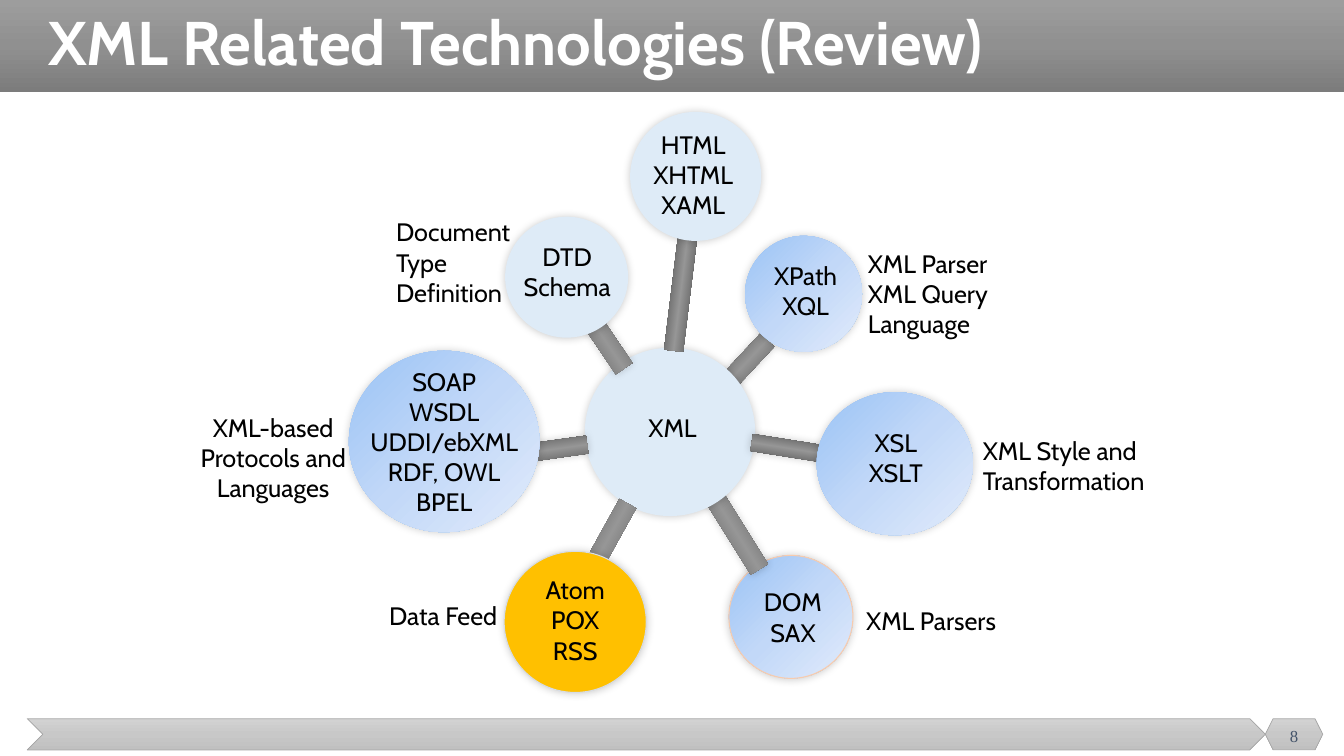
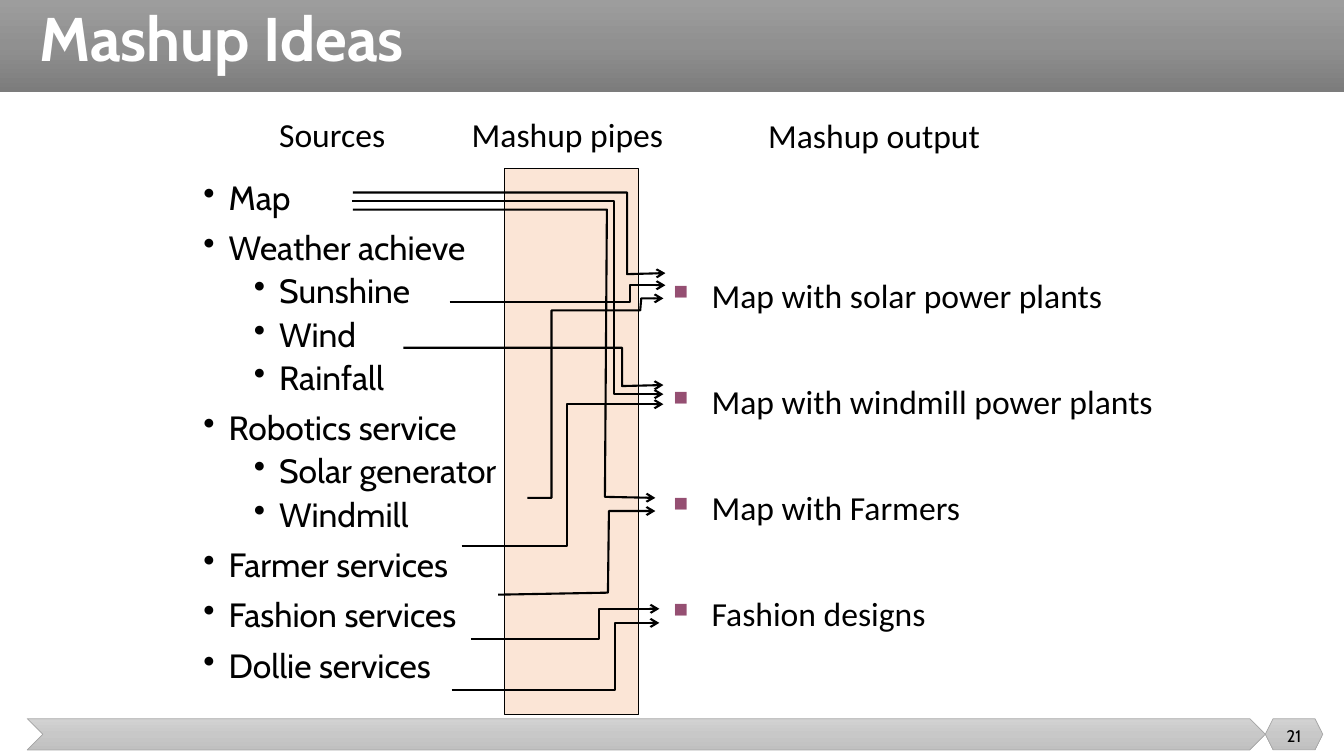
from dataclasses import dataclass
from lxml import etree
from pptx import Presentation
from pptx import util as u
from pptx.dml.color import RGBColor
from pptx.enum import shapes, text
from pptx.oxml.ns import qn

SCALE = 9144
HUES = {
    "black": "000000", "white": "FFFFFF", "slate": "44546A",
    "band1": "9D9D9D", "band2": "909090", "band3": "7C7C7C",
    "foot1": "D2D2D2", "foot2": "C8C8C8", "foot3": "C0C0C0", "edge": "A5A5A5",
    "sky1": "9AC3F5", "sky2": "C2D8F8", "sky3": "E1EBFB",
    "rod1": "454545", "rod2": "969696",
    "pale": "DEEBF7", "gold": "FFC000", "mist": "D6DCE5",
    "rose": "F8CBAD", "peach": "FBE5D6", "plum": "954F72",
}
BLENDS = {
    "band": (90, ("band1", "band2", "band3")),
    "foot": (90, ("foot1", "foot2", "foot3")),
    "sky": (45, ("sky1", "sky2", "sky3")),
    "rod": (90, ("rod1", "rod2", "rod1")),
}
KIND = shapes.MSO_SHAPE
LEFT, MID = text.PP_ALIGN.LEFT, text.PP_ALIGN.CENTER
Box = tuple[int, int, int, int]


def px(n: int) -> u.Emu:
    return u.Emu(n * SCALE)


def rgb(hue: str) -> RGBColor:
    return RGBColor.from_string(HUES[hue])


def sub(node, tag: str, **attrs):
    return etree.SubElement(node, qn("a:" + tag), attrs)


def paint(shape, hue: str) -> None:
    if hue not in BLENDS:
        shape.fill.solid()
        shape.fill.fore_color.rgb = rgb(hue)
        return
    angle, stops = BLENDS[hue]
    shape.fill.gradient()
    grad = shape._element.spPr.find(qn("a:gradFill"))
    grad.clear()
    grad.set("rotWithShape", "1")
    row = sub(grad, "gsLst")
    for i, stop in enumerate(stops):
        mark = sub(row, "gs", pos=str(i * 50000))
        sub(mark, "srgbClr", val=HUES[stop])
    sub(grad, "lin", ang=str(angle * 60000), scaled="0")


def outline(shape, hue: str, width: float) -> None:
    if hue:
        shape.line.color.rgb = rgb(hue)
        shape.line.width = u.Pt(width)
    else:
        shape.line.fill.background()


def glow(shape) -> None:
    effects = shape._element.spPr.find(qn("a:effectLst"))
    halo = sub(effects, "outerShdw", blurRad="76200", dist="0",
               dir="18900000", algn="ctr", rotWithShape="0")
    tint = sub(halo, "srgbClr", val=HUES["black"])
    sub(tint, "alpha", val="20000")


def block(slide, kind, box: Box, hue: str, edge: str = "", width: float = 0.75):
    shape = slide.shapes.add_shape(kind, *map(px, box))
    shape.shadow.inherit = False
    paint(shape, hue)
    outline(shape, edge, width)
    return shape


def frame(slide, box: Box, wrap: bool = True, middle: bool = False):
    body = slide.shapes.add_textbox(*map(px, box)).text_frame
    body.word_wrap = wrap
    if middle:
        body.vertical_anchor = text.MSO_ANCHOR.MIDDLE
    return body


def para(body, first: bool):
    return body.paragraphs[0] if first else body.add_paragraph()


def write(line, words: str, size: int, face: str = "Cabin",
          hue: str = "black", bold: bool = False) -> None:
    run = line.add_run()
    run.text = words
    font = run.font
    font.size, font.name, font.bold = u.Pt(size), face, bold
    font.color.rgb = rgb(hue)


def bullet(line, sign: str, left: int, hang: int, hue: str = "", pct: int = 100) -> None:
    props = line._p.get_or_add_pPr()
    props.set("marL", str(px(left)))
    props.set("indent", str(px(-hang)))
    if hue:
        sub(sub(props, "buClr"), "srgbClr", val=HUES[hue])
    sub(props, "buSzPct", val=str(pct * 1000))
    sub(props, "buChar", char=sign)


@dataclass
class Disk:
    box: Box
    hue: str
    edge: str = ""

    def draw(self, slide) -> None:
        glow(block(slide, KIND.OVAL, self.box, self.hue, self.edge))


@dataclass
class Spoke:
    box: Box
    turn: int
    halo: bool = True

    def draw(self, slide) -> None:
        rod = block(slide, KIND.RECTANGLE, self.box, "rod")
        rod.rotation = self.turn
        if self.halo:
            glow(rod)


@dataclass
class Label:
    box: Box
    lines: tuple[str, ...]
    align: text.PP_ALIGN = MID
    face: str = "Cabin"
    size: int = 18
    wrap: bool = True

    def draw(self, slide) -> None:
        body = frame(slide, self.box, self.wrap)
        for i, words in enumerate(self.lines):
            line = para(body, i == 0)
            line.alignment = self.align
            write(line, words, self.size, self.face)


@dataclass
class Wire:
    dots: tuple[tuple[int, int], ...]

    def draw(self, slide) -> None:
        start, *rest = [(px(x), px(y)) for x, y in self.dots]
        path = slide.shapes.build_freeform(*start)
        path.add_line_segments(rest, close=False)
        shape = path.convert_to_shape()
        shape.shadow.inherit = False
        shape.fill.background()
        outline(shape, "black", 1.5)
        sub(shape.line._get_or_add_ln(), "tailEnd", type="arrow")


@dataclass
class Page:
    title: str
    box: Box
    number: str
    face: str
    hue: str


PAGES = (
    Page("XML Related Technologies (Review)", (38, 0, 1274, 91), "8", "Times New Roman", "slate"),
    Page("Mashup Ideas", (29, 0, 1088, 83), "21", "Cabin", "black"),
)

WHEEL = (
    Disk((723, 551, 123, 122), "sky", "rose"),
    Spoke((708, 351, 63, 19), 313),
    Spoke((676, 512, 101, 20), 238),
    Disk((580, 345, 169, 167), "pale"),
    Spoke((552, 320, 86, 20), 236),
    Spoke((538, 540, 114, 19), 119, False),
    Spoke((745, 437, 83, 17), 9),
    Spoke((469, 440, 114, 18), 352),
    Spoke((618, 282, 114, 19), 97, False),
    Disk((739, 234, 116, 115), "sky"),
    Disk((501, 215, 122, 120), "pale"),
    Disk((810, 389, 155, 142), "sky"),
    Disk((346, 348, 189, 180), "sky"),
    Disk((500, 547, 141, 140), "gold", "mist"),
    Disk((625, 111, 130, 128), "pale"),
    Label((619, 404, 96, 40), ("XML",)),
    Label((747, 253, 104, 71), ("XPath", "XQL")),
    Label((500, 234, 125, 71), ("DTD", "Schema")),
    Label((718, 577, 137, 71), ("DOM", "SAX")),
    Label((817, 419, 143, 71), ("XSL", "XSLT")),
    Label((346, 358, 189, 162), ("SOAP", "WSDL", "UDDI/ebXML", "RDF, OWL", "BPEL")),
    Label((528, 565, 85, 101), ("Atom", "POX", "RSS")),
    Label((625, 123, 125, 101), ("HTML", "XHTML", "XAML")),
    Label((965, 427, 189, 101), ("XML Style and", "Transformation"), LEFT),
    Label((383, 210, 138, 101), ("Document", "Type Definition"), LEFT),
    Label((851, 241, 170, 101), ("XML Parser", "XML Query", "Language"), LEFT),
    Label((826, 596, 195, 40), ("XML Parsers",)),
    Label((166, 404, 210, 101), ("XML-based", "Protocols and Languages")),
    Label((342, 591, 195, 40), ("Data Feed",)),
)

SOURCES = (
    (0, "Map"), (0, "Weather achieve"), (1, "Sunshine"), (1, "Wind"),
    (1, "Rainfall"), (0, "Robotics service"), (1, "Solar generator"),
    (1, "Windmill"), (0, "Farmer services"), (0, "Fashion services"),
    (0, "Dollie services"),
)
OUTPUTS = (
    "Map with solar power plants", "Map with windmill power plants",
    "Map with Farmers", "Fashion designs",
)
PIPES = (
    Wire(((350, 208), (602, 208), (600, 493), (650, 494))),
    Wire(((494, 590), (603, 588), (604, 507), (650, 507))),
    Wire(((446, 300), (625, 300), (625, 283), (660, 283))),
    Wire(((349, 199), (609, 199), (609, 391), (658, 391))),
    Wire(((400, 345), (617, 345), (617, 383), (658, 382))),
    Wire(((350, 191), (622, 191), (622, 272), (660, 271))),
    Wire(((523, 494), (547, 494), (547, 308), (635, 308), (636, 296), (658, 296))),
    Wire(((458, 542), (562, 542), (562, 401), (658, 401))),
    Wire(((467, 634), (594, 634), (594, 604), (654, 604))),
    Wire(((448, 685), (610, 685), (610, 618), (654, 618))),
    Label((267, 108, 127, 51), ("Sources",), LEFT, "Calibri", 24, False),
    Label((752, 109, 232, 50), ("Mashup output",), LEFT, "Calibri", 24, False),
    Label((458, 108, 212, 50), ("Mashup pipes",), LEFT, "Calibri", 24, False),
)


def dress(deck, slide) -> None:
    parts = (
        block(slide, KIND.RECTANGLE, (0, 0, 1333, 91), "band"),
        block(slide, KIND.CHEVRON, (27, 713, 1228, 31), "foot", "edge", 0.5),
        block(slide, KIND.HEXAGON, (1255, 713, 57, 31), "foot", "edge", 0.5),
    )
    tree = deck.slide_master.shapes._spTree
    for i, part in enumerate(parts):
        part._element.nvSpPr.cNvPr.set("id", str(101 + i))
        tree.append(part._element)


def head(slide, page: Page) -> None:
    line = frame(slide, page.box, middle=True).paragraphs[0]
    line.line_spacing = 0.9
    write(line, page.title, 44, hue="white", bold=True)
    line = frame(slide, (1255, 710, 57, 40), middle=True).paragraphs[0]
    line.alignment = MID
    write(line, page.number, 12, page.face, page.hue)


def mashup(slide) -> None:
    block(slide, KIND.RECTANGLE, (500, 167, 133, 542), "peach", "black")
    body = frame(slide, (192, 175, 333, 533))
    for i, (level, words) in enumerate(SOURCES):
        line = para(body, i == 0)
        bullet(line, "•", 25 + 50 * level, 25)
        line.level = level
        line.line_spacing = 0.9
        line.space_before = u.Pt((10 - 5 * level) if i else 0)
        write(line, words, 24)
    body = frame(slide, (658, 208, 508, 450))
    for i, words in enumerate(OUTPUTS):
        line = para(body, i == 0)
        bullet(line, "■", 38, 38, "plum", 60)
        line.line_spacing = 2.5
        line.space_before = u.Pt(3.6 if i else 0)
        write(line, words, 24, "Calibri")
    for part in PIPES:
        part.draw(slide)


def main() -> None:
    deck = Presentation()
    deck.slide_width, deck.slide_height = px(1333), px(750)
    wheel, pipes = [deck.slides.add_slide(deck.slide_layouts[6]) for _ in PAGES]
    dress(deck, wheel)
    for slide, page in zip((wheel, pipes), PAGES):
        head(slide, page)
    for part in WHEEL:
        part.draw(wheel)
    mashup(pipes)
    deck.save("out.pptx")


if __name__ == "__main__":
    main()
